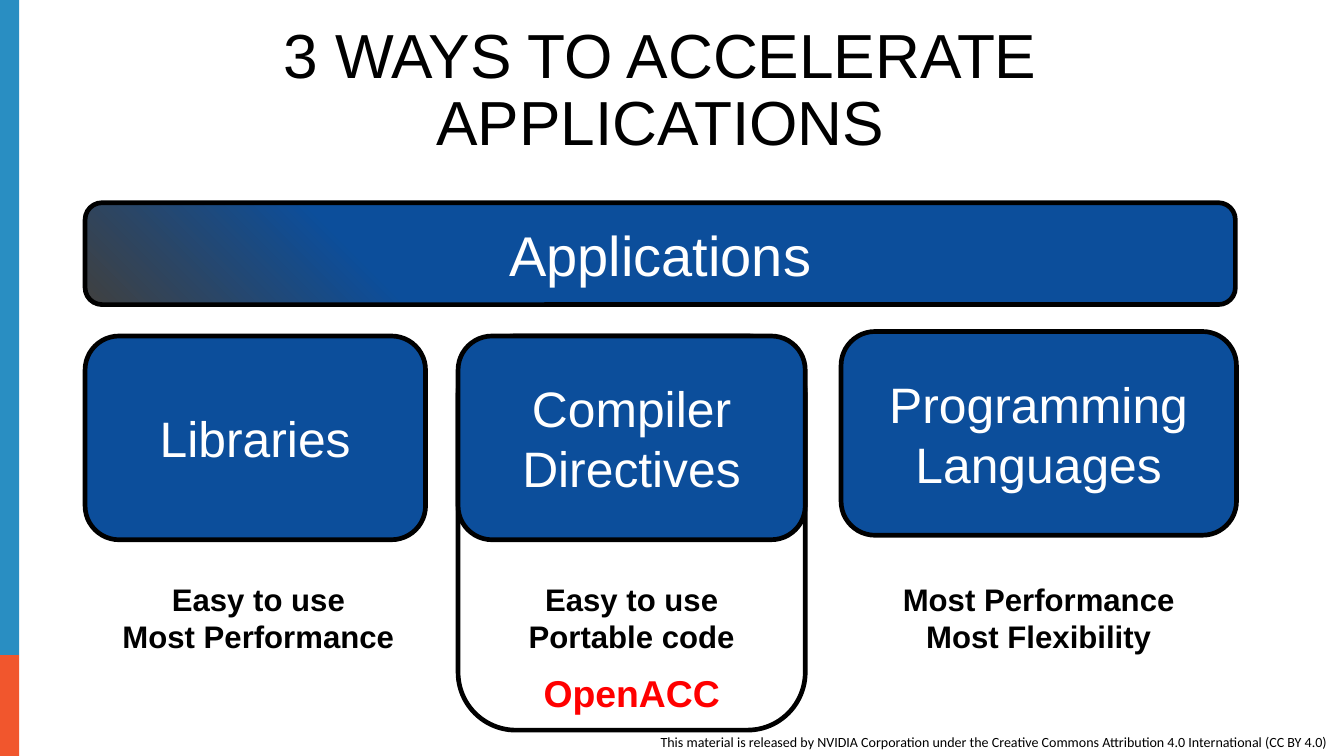
from copy import deepcopy
from dataclasses import dataclass

from pptx import Presentation
from pptx.dml.color import RGBColor
from pptx.enum.shapes import MSO_SHAPE as Preset
from pptx.enum.text import MSO_ANCHOR as Anchor, MSO_AUTO_SIZE as AutoSize, PP_ALIGN as Align
from pptx.oxml.ns import qn
from pptx.util import Pt


@dataclass(frozen=True)
class Theme:
    """Colours, fonts, type sizes and line width of the slide."""
    black: str = "000000"
    white: str = "FFFFFF"
    blue: str = "0C4E9B"
    grey: str = "404040"
    red: str = "FF0000"
    stripe_blue: str = "298EC2"
    stripe_orange: str = "F1562D"
    font: str = "Arial"
    footer_font: str = "Calibri"
    title_size: int = 40
    banner_size: int = 36
    card_size: int = 32
    highlight_size: int = 24
    note_size: int = 20
    footer_size: int = 9
    outline: int = 3


@dataclass(frozen=True)
class Box:
    """A rectangle in points."""
    left: float
    top: float
    width: float
    height: float

    def lengths(self):
        """Return the four sides as lengths."""
        return [Pt(side) for side in (self.left, self.top, self.width, self.height)]


THEME = Theme()
MARGIN = 54.7


def write(shape, text, size, color=THEME.black, font=THEME.font, bold=False,
          align=Align.CENTER, anchor=Anchor.TOP, spacing=None, wrap=True):
    """Fill a shape with formatted text, one paragraph per line."""
    frame = shape.text_frame
    frame.text = text
    frame.word_wrap = wrap
    frame.auto_size = AutoSize.NONE
    frame.vertical_anchor = anchor
    for paragraph in frame.paragraphs:
        paragraph.alignment = align
        paragraph.line_spacing = spacing
        for run in paragraph.runs:
            run.font.name = font
            run.font.size = Pt(size)
            run.font.bold = bold
            run.font.color.rgb = RGBColor.from_string(color)


def add_text(slide, box, text, size, **style):
    """Add a text box."""
    write(slide.shapes.add_textbox(*box.lengths()), text, size, **style)


def add_box(slide, box, preset=Preset.ROUNDED_RECTANGLE, fill=None, line=None):
    """Add a preset shape without shadow."""
    shape = slide.shapes.add_shape(preset, *box.lengths())
    shape.shadow.inherit = False
    if fill:
        shape.fill.solid()
        shape.fill.fore_color.rgb = RGBColor.from_string(fill)
    else:
        shape.fill.background()
    if line:
        shape.line.color.rgb = RGBColor.from_string(line)
        shape.line.width = Pt(THEME.outline)
    else:
        shape.line.fill.background()
    return shape


def add_stripe(slide, box, split):
    """Add the two-colour stripe, divided at the given height."""
    upper = Box(box.left, box.top, box.width, split)
    lower = Box(box.left, box.top + split, box.width, box.height - split)
    for part, color in ((upper, THEME.stripe_blue), (lower, THEME.stripe_orange)):
        add_box(slide, part, Preset.RECTANGLE, fill=color)


def add_title(slide, box, text):
    """Place and format the title placeholder."""
    title = slide.shapes.title
    title.left, title.top, title.width, title.height = box.lengths()
    write(title, text, THEME.title_size, anchor=Anchor.BOTTOM, spacing=0.9)


def add_banner(slide, box, text):
    """Add the wide banner with its diagonal gradient."""
    banner = add_box(slide, box, line=THEME.black)
    banner.fill.gradient()
    banner.fill.gradient_angle = 45
    stop_list = next(banner.element.iter(qn("a:gsLst")))
    stop_list.append(deepcopy(stop_list[-1]))
    stops = ((0, THEME.grey), (0.26, THEME.blue), (1, THEME.blue))
    for stop, (position, color) in zip(banner.fill.gradient_stops, stops):
        stop.position = position
        stop.color.rgb = RGBColor.from_string(color)
    write(banner, text, THEME.banner_size, color=THEME.white, anchor=Anchor.MIDDLE)


def add_way(slide, box, heading, notes, note_shift=0, highlight=None):
    """Add a card with its notes, and a frame around both if highlighted."""
    if highlight:
        add_box(slide, box, line=THEME.black)
    card = add_box(slide, Box(box.left, box.top, box.width, 131), fill=THEME.blue, line=THEME.black)
    write(card, heading, THEME.card_size, color=THEME.white, anchor=Anchor.MIDDLE)
    add_text(slide, Box(box.left + note_shift, 369.4, box.width, 55.4), notes,
             THEME.note_size, bold=True)
    if highlight:
        add_text(slide, Box(box.left, 430.6, box.width, 33), highlight, THEME.highlight_size,
                 color=THEME.red, bold=True, anchor=Anchor.MIDDLE, spacing=0.9)


def main():
    """Build and save the slide."""
    presentation = Presentation()
    presentation.slide_width, presentation.slide_height = Pt(864), Pt(486)
    slide = presentation.slides.add_slide(presentation.slide_layouts[5])
    add_stripe(slide, Box(0, 0, 12.3, 486), split=421.2)
    add_text(slide, Box(417.6, 468, 446, 18), "This material is released by NVIDIA Corporation under "
             "the Creative Commons Attribution 4.0 International (CC BY 4.0)",
             THEME.footer_size, font=THEME.footer_font, align=Align.LEFT, wrap=False)
    add_title(slide, Box(61.9, 12, 725, 93.8), "3 WAYS TO ACCELERATE APPLICATIONS")
    add_banner(slide, Box(MARGIN, 130.3, 739.5, 65.5), "Applications")
    add_way(slide, Box(MARGIN, 216, 218.9, 131), "Libraries",
            "Easy to use\nMost Performance", note_shift=2)
    add_way(slide, Box(294.5, 216, 223.2, 253.4), "Compiler\vDirectives",
            "Easy to use\nPortable code", highlight="OpenACC")
    add_way(slide, Box(540.7, 213.1, 254.2, 131), "Programming Languages",
            "Most Performance\nMost Flexibility")
    presentation.save("out.pptx")


if __name__ == "__main__":
    main()
